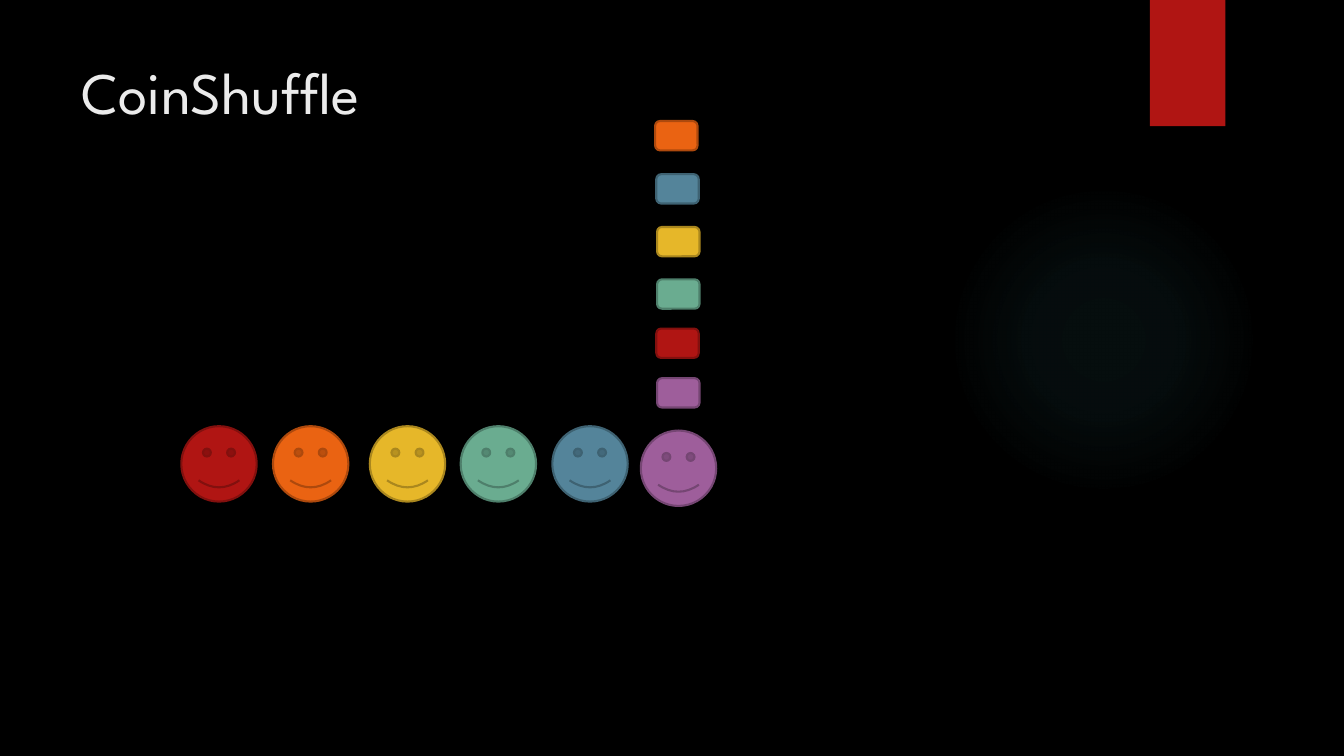
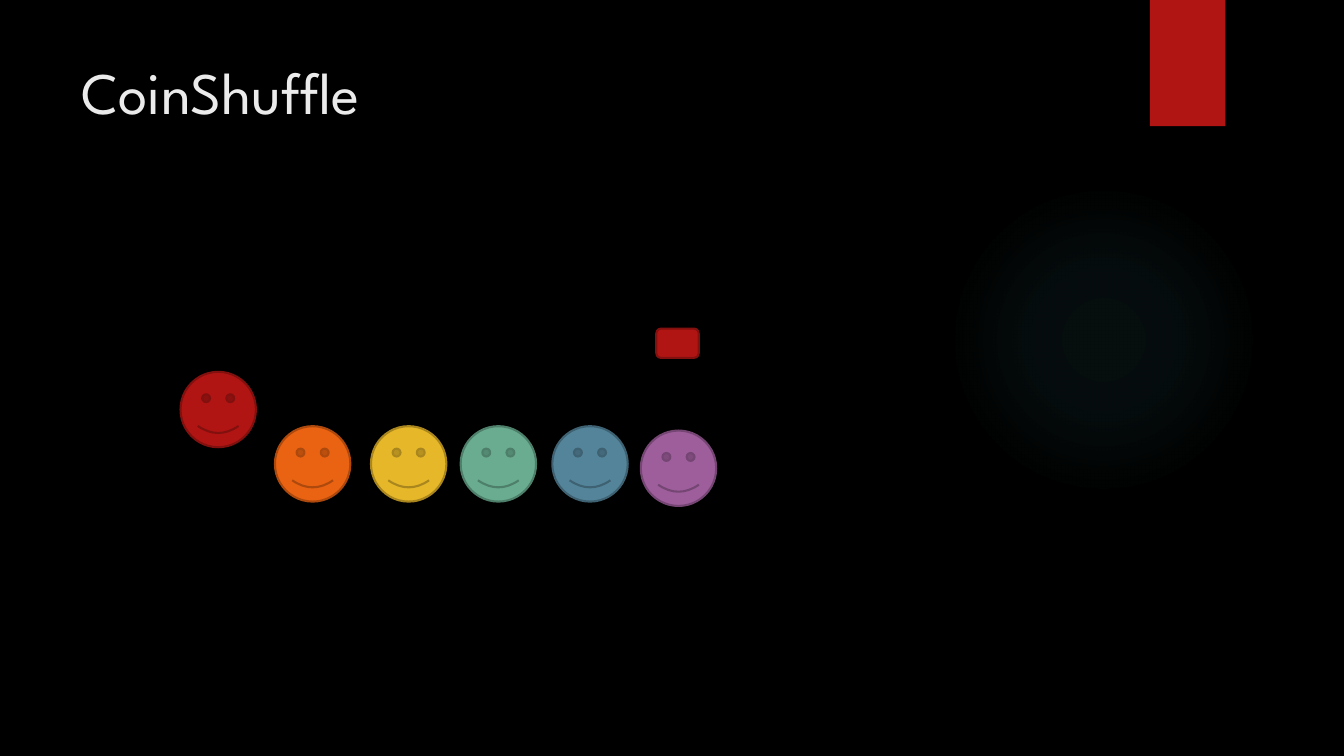
from lxml import etree
from pptx import Presentation
from pptx.dml.color import RGBColor
from pptx.enum.shapes import MSO_SHAPE
from pptx.enum.text import MSO_ANCHOR, PP_ALIGN
from pptx.oxml.ns import qn
from pptx.util import Cm, Pt

OVAL, RECT = MSO_SHAPE.OVAL, MSO_SHAPE.RECTANGLE
FACE, COIN = MSO_SHAPE.SMILEY_FACE, MSO_SHAPE.ROUNDED_RECTANGLE
TOP, LEFT = MSO_ANCHOR.TOP, PP_ALIGN.LEFT

FONT = "League Spartan"
BLACK, WHITE, TEAL = "000000", "EBEBEB", "50B9C1"
RED, ORANGE, YELLOW = "B01513", "EA6312", "E6B729"
GREEN, BLUE, PURPLE = "6AAC90", "54849A", "9E5E9B"
GLOW = [(0, 7), (36, 6), (69, 0)]  # position and opacity, in percent
SHADE = 0.74  # brightness of an outline against its fill


def rgb(code):
    return RGBColor.from_string(code)


def draw(slide, kind, color, box, edge=False):
    """Add a flat shape at box (left, top, width, height in cm)."""
    shape = slide.shapes.add_shape(kind, *map(Cm, box))
    shape.shadow.inherit = False
    shape.fill.solid()
    shape.fill.fore_color.rgb = rgb(color)
    if edge:
        dark = [round(part * SHADE) for part in rgb(color)]
        shape.line.color.rgb = RGBColor(*dark)
        shape.line.width = Pt(1.5)
    else:
        shape.line.fill.background()
    return shape


# Each slide: faces as (color, left, top), then coins likewise
still = [(GREEN, 11.61, 10.74), (BLUE, 13.92, 10.74), (PURPLE, 16.15, 10.85)]
red_coin = (RED, 16.54, 8.28)
scenes = [
    (
        [(RED, 4.57, 10.74), (ORANGE, 6.88, 10.74), (YELLOW, 9.32, 10.74)],
        [
            (ORANGE, 16.51, 3.05),
            (BLUE, 16.54, 4.39),
            (YELLOW, 16.56, 5.72),
            (GREEN, 16.56, 7.04),
            red_coin,
            (PURPLE, 16.56, 9.53),
        ],
    ),
    (
        [(RED, 4.55, 9.37), (ORANGE, 6.93, 10.74), (YELLOW, 9.35, 10.74)],
        [red_coin],
    ),
]

prs = Presentation()
prs.slide_width, prs.slide_height = Cm(33.87), Cm(19.05)

# Shared background and title place
layout = prs.slide_layouts[5]
layout.background.fill.solid()
layout.background.fill.fore_color.rgb = rgb(BLACK)
head = layout.placeholders[0]
head.left, head.top = Cm(1.8), Cm(1.27)
head.width, head.height = Cm(26.14), Cm(3.89)

for faces, coins in scenes:
    slide = prs.slides.add_slide(layout)

    glow = draw(slide, OVAL, TEAL, (23.9, 4.65, 7.82, 7.82))
    solid = glow.element.spPr.find(qn("a:solidFill"))
    grad = etree.Element(qn("a:gradFill"), rotWithShape="1")
    stops = etree.SubElement(grad, qn("a:gsLst"))
    for pos, alpha in GLOW:
        stop = etree.SubElement(stops, qn("a:gs"), pos=str(pos * 1000))
        tint = etree.SubElement(stop, qn("a:srgbClr"), val=TEAL)
        etree.SubElement(tint, qn("a:alpha"), val=str(alpha * 1000))
    round_path = etree.SubElement(grad, qn("a:path"), path="circle")
    sides = dict.fromkeys("ltrb", "50000")
    etree.SubElement(round_path, qn("a:fillToRect"), **sides)
    solid.getparent().replace(solid, grad)

    draw(slide, RECT, RED, (28.98, 0, 1.9, 3.18))

    frame = slide.shapes.title.text_frame
    frame.text = "CoinShuffle"
    frame.vertical_anchor = TOP
    frame.paragraphs[0].alignment = LEFT
    font = frame.paragraphs[0].runs[0].font
    font.name, font.size = FONT, Pt(42)
    font.color.rgb = rgb(WHITE)

    for color, x, y in faces + still:
        draw(slide, FACE, color, (x, y, 1.9, 1.9), edge=True)
    for color, x, y in coins:
        draw(slide, COIN, color, (x, y, 1.07, 0.74), edge=True)

prs.save("out.pptx")
